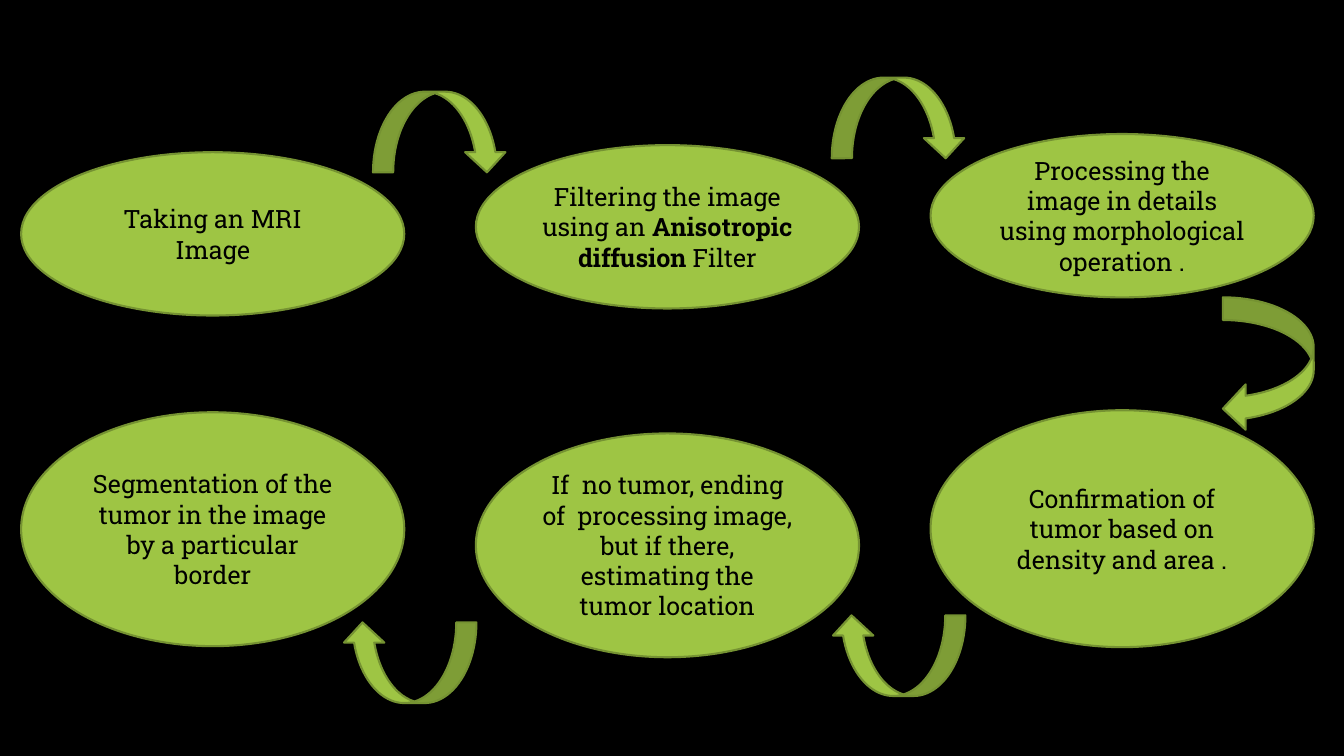
from dataclasses import dataclass

from pptx import Presentation
from pptx.dml.color import RGBColor
from pptx.enum.shapes import MSO_SHAPE as Preset
from pptx.enum.text import MSO_ANCHOR as Anchor, PP_ALIGN as Align
from pptx.shapes.autoshape import Shape
from pptx.slide import Slide
from pptx.util import Inches, Length, Pt

BLACK, GREEN, OLIVE = "000000", "9EC544", "759232"
FONT = "Roboto Slab"
CELL = 0.1  # inches per grid column and grid row
FIRST_STAGE, STAGE_PITCH, STAGE_WIDTH = 2.1, 45.1, 38
ARROW_SPAN, ARROW_DEPTH = 13.3, 8


@dataclass(frozen=True)
class Stage:
    """An oval step; text between asterisks is bold, a newline starts a paragraph."""
    position: int
    top: float
    height: float
    wording: str


@dataclass(frozen=True)
class Arrow:
    preset: Preset
    left: float
    top: float
    width: float
    height: float
    rotation: int = 0
    mirrored: bool = False


STAGES = [
    Stage(0, 15.1, 16.2, "Taking an MRI Image"),
    Stage(1, 14.4, 16.2, "Filtering the image using an *Anisotropic diffusion *Filter"),
    Stage(2, 13.3, 16.2,
          "Processing the image in details using morphological\noperation ."),
    Stage(2, 40.7, 23.5, "Confirmation of tumor based on density and area ."),
    Stage(1, 43, 22.2, "If  no tumor, ending of  processing image, but if there, "
                       "estimating the tumor location"),
    Stage(0, 40.9, 23.2,
          "Segmentation of the tumor in the image by a particular border"),
]

ARROWS = [
    *(Arrow(Preset.CURVED_DOWN_ARROW, left, top, ARROW_SPAN, ARROW_DEPTH)
      for left, top in ((37, 9.1), (82.5, 7.7))),
    Arrow(Preset.CURVED_RIGHT_ARROW, 121.3, 29.5, 9, ARROW_SPAN, mirrored=True),
    *(Arrow(Preset.CURVED_LEFT_ARROW, left, top, ARROW_DEPTH, ARROW_SPAN, rotation=90)
      for left, top in ((85.1, 58.4), (36.6, 59.1))),
]


def color(value: str) -> RGBColor:
    return RGBColor.from_string(value)


def cells(count: float) -> Length:
    return Inches(count * CELL)


def add_green_shape(slide: Slide, preset: Preset, left: float, top: float,
                    width: float, height: float) -> Shape:
    shape = slide.shapes.add_shape(preset, *map(cells, (left, top, width, height)))
    shape.shadow.inherit = False
    shape.fill.solid()
    shape.fill.fore_color.rgb = color(GREEN)
    shape.line.color.rgb = color(OLIVE)
    shape.line.width = Pt(1.5)
    return shape


def add_stage(slide: Slide, stage: Stage) -> None:
    left = FIRST_STAGE + stage.position * STAGE_PITCH
    oval = add_green_shape(slide, Preset.OVAL, left, stage.top, STAGE_WIDTH, stage.height)
    frame = oval.text_frame
    frame.word_wrap = True
    frame.vertical_anchor = Anchor.MIDDLE
    frame.text = stage.wording.replace("*", "")
    for paragraph, wording in zip(frame.paragraphs, stage.wording.split("\n")):
        paragraph.alignment = Align.CENTER
        first, *others = wording.split("*")
        paragraph.runs[0].text = first
        for part in others:
            paragraph.add_run().text = part
        for index, run in enumerate(paragraph.runs):
            run.font.name = FONT
            run.font.size = Pt(18)
            run.font.bold = index % 2 == 1
            run.font.color.rgb = color(BLACK)


def add_arrow(slide: Slide, arrow: Arrow) -> None:
    shape = add_green_shape(slide, arrow.preset, arrow.left, arrow.top,
                            arrow.width, arrow.height)
    shape.rotation = arrow.rotation
    if arrow.mirrored:
        shape.element.spPr.xfrm.set("flipH", "1")


def main() -> None:
    deck = Presentation()
    deck.slide_width, deck.slide_height = Inches(13.33), Inches(7.5)
    slide = deck.slides.add_slide(deck.slide_layouts[6])
    slide.background.fill.solid()
    slide.background.fill.fore_color.rgb = color(BLACK)
    for stage in STAGES:
        add_stage(slide, stage)
    for arrow in ARROWS:
        add_arrow(slide, arrow)
    deck.save("out.pptx")


if __name__ == "__main__":
    main()
